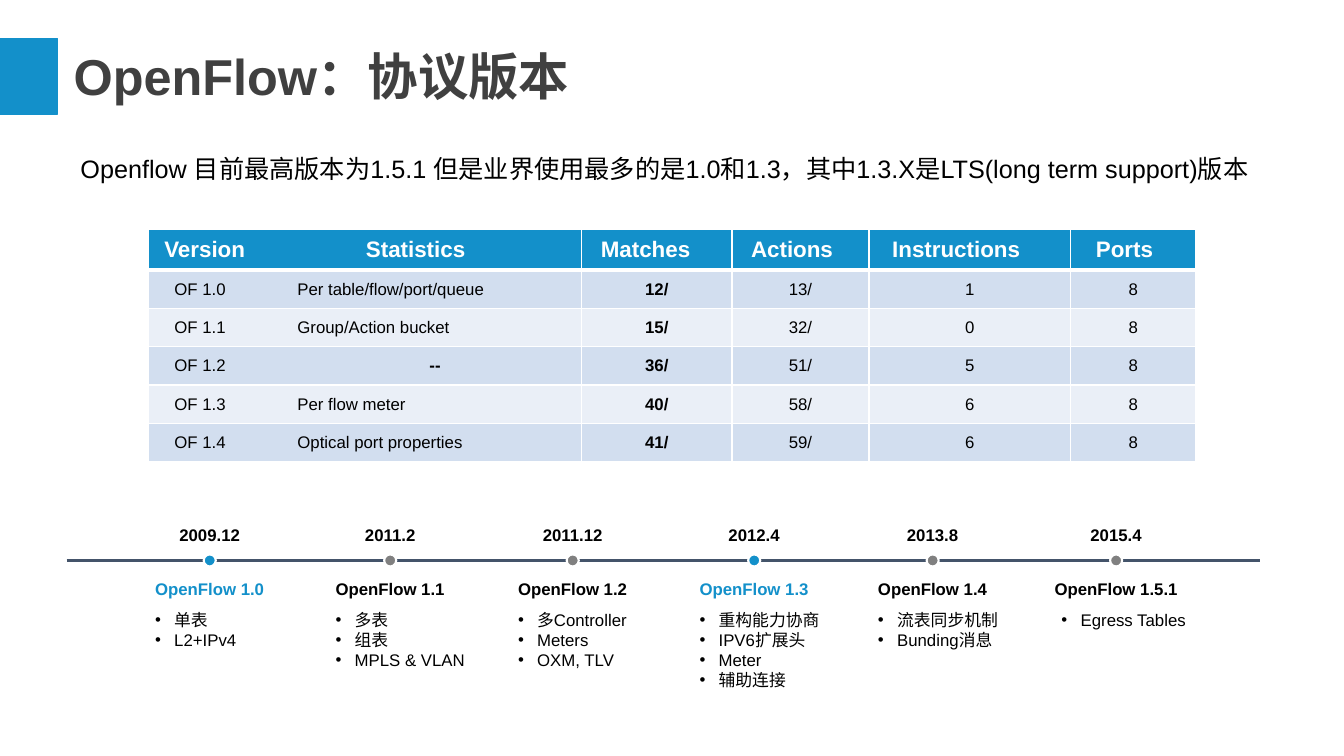
from lxml import etree
from pptx import Presentation
from pptx.dml.color import RGBColor
from pptx.enum.shapes import MSO_CONNECTOR, MSO_SHAPE
from pptx.enum.text import MSO_ANCHOR, PP_ALIGN
from pptx.oxml.ns import qn
from pptx.util import Inches, Pt

LEFT, CENTER = PP_ALIGN.LEFT, PP_ALIGN.CENTER
TOP, MIDDLE = MSO_ANCHOR.TOP, MSO_ANCHOR.MIDDLE
RECT, OVAL = MSO_SHAPE.RECTANGLE, MSO_SHAPE.OVAL
STRAIGHT = MSO_CONNECTOR.STRAIGHT

BLUE = RGBColor(0x13, 0x90, 0xCA)
WHITE = RGBColor(0xFF, 0xFF, 0xFF)
BLACK = RGBColor(0, 0, 0)
TITLE_GRAY = RGBColor(0x40, 0x40, 0x40)
DOT_GRAY = RGBColor(0x80, 0x80, 0x80)
AXIS = RGBColor(0x44, 0x54, 0x6A)
BAND_DARK = RGBColor(0xD2, 0xDE, 0xEF)
BAND_LIGHT = RGBColor(0xEA, 0xEF, 0xF7)

# Table content: column = (header, width, header indent)
COLUMNS = [("Version", 1.39, 0.16), ("Statistics", 2.91, 0.77), ("Matches", 1.49, 0.19),
           ("Actions", 1.36, 0.19), ("Instructions", 2, 0.23), ("Ports", 1.24, 0.25)]
ROWS = [("OF 1.0", "Per table/flow/port/queue", "12/", "13/", "1", "8"),
        ("OF 1.1", "Group/Action bucket", "15/", "32/", "0", "8"),
        ("OF 1.2", "--", "36/", "51/", "5", "8"),
        ("OF 1.3", "Per flow meter", "40/", "58/", "6", "8"),
        ("OF 1.4", "Optical port properties", "41/", "59/", "6", "8")]
BODY_INDENTS = {0: 0.26, 1: 0.09}

# Timeline content: (centre, date, release, accent, features)
RELEASES = [
    (2.08, "2009.12", "OpenFlow 1.0", True, ["单表", "L2+IPv4"]),
    (3.87, "2011.2", "OpenFlow 1.1", False, ["多表", "组表", "MPLS & VLAN"]),
    (5.68, "2011.12", "OpenFlow 1.2", False, ["多Controller", "Meters", "OXM, TLV"]),
    (7.48, "2012.4", "OpenFlow 1.3", True, ["重构能力协商", "IPV6扩展头", "Meter", "辅助连接"]),
    (9.25, "2013.8", "OpenFlow 1.4", False, ["流表同步机制", "Bunding消息"]),
    (11.07, "2015.4", "OpenFlow 1.5.1", False, ["Egress Tables"]),
]
AXIS_Y = 5.56
DOT = 0.12


def write(p, text, size, color=BLACK, bold=False, align=LEFT):
    p.alignment = align
    r = p.add_run()
    r.text = text
    for name, value in {"name": "Arial", "size": Pt(size), "bold": bold}.items():
        setattr(r.font, name, value)
    r.font.color.rgb = color


def add_text(slide, x, y, w, h, lines, size, bullets=False, spacing=None, **style):
    tf = slide.shapes.add_textbox(Inches(x), Inches(y), Inches(w), Inches(h)).text_frame
    tf.word_wrap = True
    for i, line in enumerate(lines):
        p = tf.add_paragraph() if i else tf.paragraphs[0]
        write(p, line, size, **style)
        if spacing:
            p.line_spacing = Pt(spacing)
        if bullets:
            pPr = p._p.get_or_add_pPr()
            pPr.set("marL", str(Inches(0.2)))
            pPr.set("indent", str(Inches(-0.19)))
            etree.SubElement(pPr, qn("a:buFont")).set("typeface", "Arial")
            etree.SubElement(pPr, qn("a:buChar")).set("char", "•")


def add_block(slide, kind, x, y, w, h, fill, line, line_width):
    sp = slide.shapes.add_shape(kind, Inches(x), Inches(y), Inches(w), Inches(h))
    sp.shadow.inherit = False
    sp.fill.solid()
    sp.fill.fore_color.rgb = fill
    sp.line.color.rgb = line
    sp.line.width = Pt(line_width)


def set_borders(cell, widths):
    """Draw white cell borders; a width of 0 leaves that side open."""
    tcPr = cell._tc.get_or_add_tcPr()
    for side in "LRTB":
        width = widths.get(side, 1)
        ln = etree.SubElement(tcPr, qn("a:ln" + side), w=str(Pt(width)))
        if width:
            fill = etree.SubElement(ln, qn("a:solidFill"))
            etree.SubElement(fill, qn("a:srgbClr")).set("val", str(WHITE))
        else:
            etree.SubElement(ln, qn("a:noFill"))


def fill_cell(cell, text, fill, indent, borders, **style):
    set_borders(cell, borders)
    cell.fill.solid()
    cell.fill.fore_color.rgb = fill
    margins = {"margin_left": Inches(indent), "margin_right": 0, "margin_top": 0,
               "margin_bottom": 0, "vertical_anchor": MIDDLE}
    for name, value in margins.items():
        setattr(cell, name, value)
    write(cell.text_frame.paragraphs[0], text, **style)


def add_versions_table(slide):
    table = slide.shapes.add_table(len(ROWS) + 1, len(COLUMNS), Inches(1.47), Inches(2.28),
                                   Inches(10.39), Inches(2.3)).table
    for i, row in enumerate(table.rows):
        row.height = Inches(0.38 if i else 0.4)
    for j, (header, width, indent) in enumerate(COLUMNS):
        table.columns[j].width = Inches(width)
        # The first two columns have no rule between them
        sides = {0: {"R": 0}, 1: {"L": 0}}.get(j, {})
        fill_cell(table.cell(0, j), header, BLUE, indent, {**sides, "B": 3},
                  size=16, color=WHITE, bold=True)
        for i, values in enumerate(ROWS, 1):
            text = values[j]
            centred = j > 1 or text == "--"
            fill_cell(table.cell(i, j), text, BAND_DARK if i % 2 else BAND_LIGHT,
                      0 if centred else BODY_INDENTS[j], {**sides, "T": 3 if i == 1 else 1},
                      size=12, bold=j == 2 or text == "--", align=CENTER if centred else LEFT)


def add_axis(slide):
    line = slide.shapes.add_connector(STRAIGHT, Inches(0.66), Inches(AXIS_Y),
                                      Inches(12.5), Inches(AXIS_Y))
    line.line.color.rgb = AXIS
    line.line.width = Pt(1.75)
    etree.SubElement(line._element.spPr, qn("a:effectLst"))


def add_release(slide, center, date, release, accent, features):
    add_block(slide, OVAL, center - DOT / 2, AXIS_Y - DOT / 2, DOT, DOT,
              BLUE if accent else DOT_GRAY, WHITE, 1.5)
    add_text(slide, center - 0.8, 5.16, 1.6, 0.3, [date], 12, spacing=14.3,
             bold=True, align=CENTER)
    add_text(slide, center - 0.8, 5.69, 1.6, 0.32, [release], 12,
             color=BLUE if accent else BLACK, bold=True, align=CENTER)
    add_text(slide, center - 0.65, 6, 1.7, 0.1 + 0.2 * len(features), features, 12,
             bullets=True, spacing=14.3)


def add_title(slide, text):
    title = slide.shapes.title
    box = {"left": 0.63, "top": 0.41, "width": 11.5, "height": 0.75}
    for name, value in box.items():
        setattr(title, name, Inches(value))
    tf = title.text_frame
    tf.vertical_anchor = MIDDLE
    p = tf.paragraphs[0]
    p.line_spacing = 0.9
    write(p, text, 36, TITLE_GRAY, True)


def main():
    prs = Presentation()
    prs.slide_width, prs.slide_height = Inches(13.33), Inches(7.5)
    slide = prs.slides.add_slide(prs.slide_layouts[5])

    # Heading and introduction
    add_block(slide, RECT, 0, 0.38, 0.57, 0.75, BLUE, BLUE, 1)
    add_title(slide, "OpenFlow：协议版本")
    add_text(slide, 0.7, 1.47, 11.94, 0.7,
             ["Openflow 目前最高版本为1.5.1 但是业界使用最多的是1.0和1.3，"
              "其中1.3.X是LTS(long term support)版本"], 18)

    # Version comparison
    add_versions_table(slide)

    # Release timeline
    add_axis(slide)
    for release in RELEASES:
        add_release(slide, *release)

    prs.save("out.pptx")


if __name__ == "__main__":
    main()
